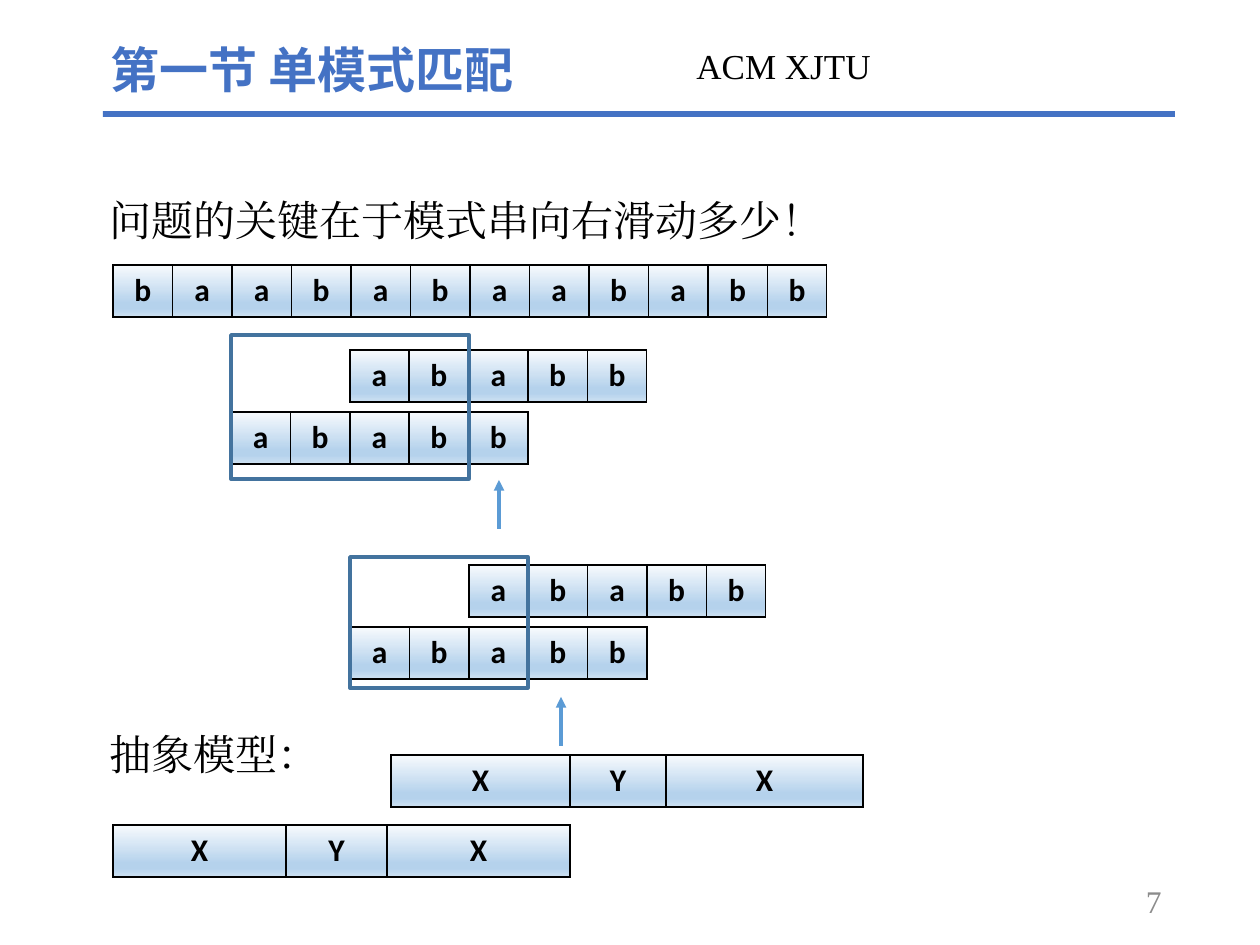
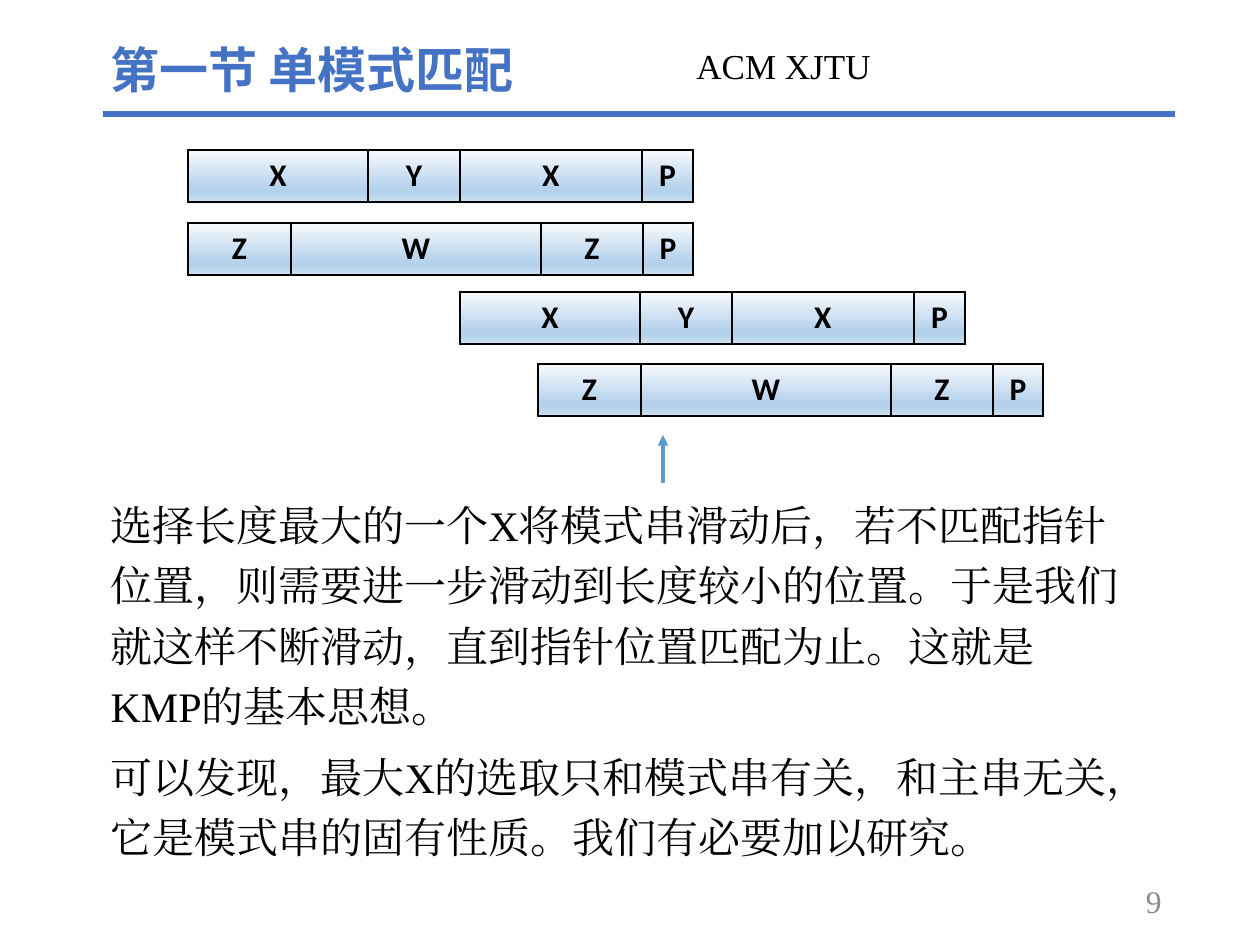
from dataclasses import dataclass

from lxml import etree
from pptx import Presentation
from pptx.dml.color import RGBColor
from pptx.enum.shapes import MSO_CONNECTOR, MSO_SHAPE
from pptx.enum.text import MSO_ANCHOR, MSO_AUTO_SIZE, PP_ALIGN
from pptx.oxml.ns import qn
from pptx.util import Emu, Pt

LEFT, CENTER, RIGHT = PP_ALIGN.LEFT, PP_ALIGN.CENTER, PP_ALIGN.RIGHT
TOP, MIDDLE = MSO_ANCHOR.TOP, MSO_ANCHOR.MIDDLE
FIXED, GROW = MSO_AUTO_SIZE.NONE, MSO_AUTO_SIZE.SHAPE_TO_FIT_TEXT
RECTANGLE, STRAIGHT = MSO_SHAPE.RECTANGLE, MSO_CONNECTOR.STRAIGHT
TWO_CONTENT = 3
EMU_PER_PX = 914400 / 126


@dataclass(frozen=True)
class Theme:
    """Colours, fonts and type sizes shared by the slides."""
    accent: str = "4472C4"
    text: str = "000000"
    page: str = "8C8C8C"
    arrow: str = "5B9BD5"
    frame: str = "43739E"
    gradient: tuple = ((0, "F7FAFD"), (74, "B5D2EC"), (83, "B5D2EC"), (100, "CEE1F2"))
    title_font: str = "Noto Sans CJK SC"
    body_font: str = "Times New Roman"
    cell_font: str = "Calibri"
    title_size: int = 28
    body_size: int = 24
    label_size: int = 20
    small_size: int = 18


THEME = Theme()
TITLE_STYLE = {"name": THEME.title_font, "size": THEME.title_size, "color": THEME.accent, "bold": True}
BODY_STYLE = {"name": THEME.body_font, "size": THEME.body_size, "color": THEME.text, "bold": False}
LABEL_STYLE = BODY_STYLE | {"size": THEME.label_size}
PAGE_STYLE = BODY_STYLE | {"size": THEME.small_size, "color": THEME.page}
CELL_STYLE = {"name": THEME.cell_font, "size": THEME.small_size, "color": THEME.text, "bold": True}

SECTION = "第一节 单模式匹配"
TEAM = "ACM XJTU"
MAIN_STRING = "baababaababb"
PATTERN = "ababb"
ROW_HEIGHT = 52
MAIN_WIDTH = 714
PATTERN_WIDTH = 297


def px(length):
    """Turn px into EMU."""
    return Emu(round(length * EMU_PER_PX))


def place(shape, box):
    """Move a shape to a box given as left, top, width and height."""
    for name, length in zip(("left", "top", "width", "height"), box):
        setattr(shape, name, px(length))


def add_element(parent, tag, **attributes):
    """Append a drawing element and return it."""
    return etree.SubElement(parent, qn(f"a:{tag}"), attributes)


def write(paragraph, text, style, **formats):
    """Put one formatted run into a paragraph."""
    for name, value in formats.items():
        setattr(paragraph, name, value)
    run = paragraph.add_run()
    run.text = text
    values = style | {"size": Pt(style["size"])}
    color = RGBColor.from_string(values.pop("color"))
    for name, value in values.items():
        setattr(run.font, name, value)
    run.font.color.rgb = color
    add_element(run.font._element, "ea", typeface=style["name"])


def set_frame(shape, anchor=TOP, auto_size=FIXED):
    """Set wrapping, anchor and insets and return the first paragraph."""
    frame = shape.text_frame
    formats = {
        "word_wrap": True, "vertical_anchor": anchor, "auto_size": auto_size,
        "margin_left": Pt(7.2), "margin_right": Pt(7.2),
        "margin_top": Pt(3.6), "margin_bottom": Pt(3.6),
    }
    for name, value in formats.items():
        setattr(frame, name, value)
    return frame.paragraphs[0]


def add_label(slide, box, text, style, anchor=TOP, **formats):
    """Add a text box with one line."""
    shape = slide.shapes.add_textbox(*map(px, box))
    write(set_frame(shape, anchor), text, style, **formats)


def fill_body(placeholder, box, text):
    """Move a body placeholder and fill it with unbulleted text."""
    place(placeholder, box)
    paragraph = set_frame(placeholder, auto_size=GROW)
    properties = paragraph._p.get_or_add_pPr()
    properties.set("marL", "0")
    properties.set("indent", "0")
    add_element(properties, "buNone")
    write(paragraph, text, BODY_STYLE, alignment=LEFT, line_spacing=1.2, space_before=Pt(0))


def add_rectangle(slide, box, fill=None, line=None):
    """Add a rectangle with an optional fill and outline."""
    shape = slide.shapes.add_shape(RECTANGLE, *map(px, box))
    shape.shadow.inherit = False
    if fill:
        shape.fill.solid()
        shape.fill.fore_color.rgb = RGBColor.from_string(fill)
    else:
        shape.fill.background()
    if line:
        shape.line.color.rgb = RGBColor.from_string(line)
        shape.line.width = Pt(2)
    else:
        shape.line.fill.background()


def add_pointer(slide, x, tail, tip):
    """Add an upward arrow that marks the compared position."""
    pointer = slide.shapes.add_connector(STRAIGHT, px(x), px(tail), px(x), px(tip))
    pointer.line.color.rgb = RGBColor.from_string(THEME.arrow)
    pointer.line.width = Pt(2)
    add_element(pointer.line._get_or_add_ln(), "tailEnd", type="triangle")
    add_element(pointer._element.spPr, "effectLst")


def style_cell(cell):
    """Give a cell black borders and the shared gradient."""
    properties = cell._tc.get_or_add_tcPr()
    for side in "LRTB":
        border = add_element(properties, f"ln{side}", w=str(Pt(1)))
        add_element(add_element(border, "solidFill"), "srgbClr", val=THEME.text)
    gradient = add_element(properties, "gradFill", rotWithShape="1")
    stops = add_element(gradient, "gsLst")
    for percent, color in THEME.gradient:
        add_element(add_element(stops, "gs", pos=str(percent * 1000)), "srgbClr", val=color)
    add_element(gradient, "lin", ang="5400000", scaled="0")


def add_string_row(slide, left, top, letters, widths):
    """Add a one-row table with a letter in each cell."""
    box = (left, top, sum(widths), ROW_HEIGHT)
    table = slide.shapes.add_table(1, len(letters), *map(px, box)).table
    table.first_row = table.horz_banding = False
    for index, (letter, width) in enumerate(zip(letters, widths)):
        table.columns[index].width = px(width)
        cell = table.cell(0, index)
        style_cell(cell)
        write(cell.text_frame.paragraphs[0], letter, CELL_STYLE, alignment=CENTER)


def add_even_row(slide, left, top, letters, width):
    """Add a string row whose cells share the width equally."""
    add_string_row(slide, left, top, letters, [width / len(letters)] * len(letters))


def add_slide(presentation, page, bodies):
    """Add a slide with title, rule, team name, page number and body texts."""
    slide = presentation.slides.add_slide(presentation.slide_layouts[TWO_CONTENT])
    title, *placeholders = slide.placeholders
    place(title, (98, 33, 551, 72))
    write(set_frame(title, auto_size=GROW), SECTION, TITLE_STYLE, alignment=LEFT)
    add_rectangle(slide, (103, 111, 1072, 6), fill=THEME.accent)
    add_label(slide, (684, 43, 316, 66), TEAM, LABEL_STYLE, line_spacing=0.9)
    add_label(slide, (890, 876, 284, 50), page, PAGE_STYLE, MIDDLE, alignment=RIGHT)
    for placeholder, (box, text) in zip(placeholders, bodies):
        fill_body(placeholder, box, text)
    return slide


def add_slide_step(slide, left, top, gap, frame, pointer):
    """Show the pattern before and after it slides by two cells."""
    shift = 2 * PATTERN_WIDTH / len(PATTERN)
    add_even_row(slide, left + shift, top, PATTERN, PATTERN_WIDTH)
    add_even_row(slide, left, top + gap, PATTERN, PATTERN_WIDTH)
    add_rectangle(slide, frame, line=THEME.frame)
    add_pointer(slide, *pointer)


def build_shift_slide(presentation):
    """Build the slide on how far the pattern moves."""
    slide = add_slide(presentation, "7", (
        ((97, 178, 1038, 68), "问题的关键在于模式串向右滑动多少！"),
        ((97, 712, 1038, 68), "抽象模型："),
    ))
    add_even_row(slide, 113, 265, MAIN_STRING, MAIN_WIDTH)
    add_slide_step(slide, 231, 350, 62, (231, 335, 238, 144), (499, 529, 480))
    add_slide_step(slide, 350, 565, 62, (350, 557, 178, 131), (561, 746, 697))
    add_string_row(slide, 113, 825, "XYX", (173, 101, 183))
    add_string_row(slide, 391, 755, "XYX", (179, 96, 197))


def build_idea_slide(presentation):
    """Build the slide on the basic idea of KMP."""
    slide = add_slide(presentation, "9", (
        ((98, 483, 1038, 257),
         "选择长度最大的一个X将模式串滑动后，若不匹配指针位置，则需要进一步滑动到长度较小的位置。"
         "于是我们就这样不断滑动，直到指针位置匹配为止。这就是KMP的基本思想。"),
        ((98, 735, 1038, 135),
         "可以发现，最大X的选取只和模式串有关，和主串无关，它是模式串的固有性质。我们有必要加以研究。"),
    ))
    long_border = ("XYXP", (180, 92, 182, 51))
    short_border = ("ZWZP", (103, 250, 102, 50))
    rows = ((188, 150, long_border), (188, 223, short_border),
            (460, 292, long_border), (538, 364, short_border))
    for left, top, parts in rows:
        add_string_row(slide, left, top, *parts)
    add_pointer(slide, 663, 483, 435)


def main():
    """Build and save the presentation."""
    presentation = Presentation()
    presentation.slide_width = px(1260)
    presentation.slide_height = px(945)
    build_shift_slide(presentation)
    build_idea_slide(presentation)
    presentation.save("out.pptx")


if __name__ == "__main__":
    main()
